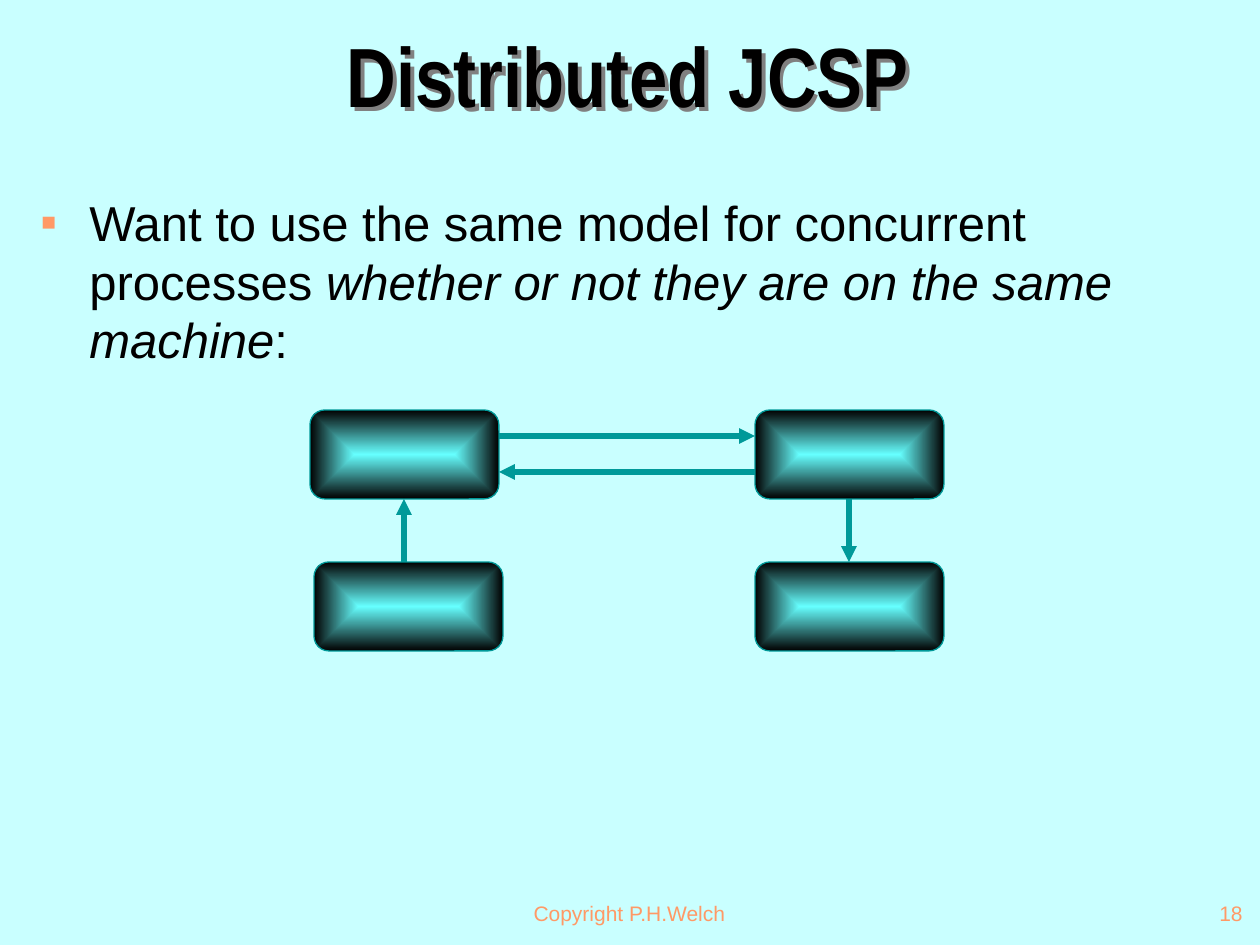
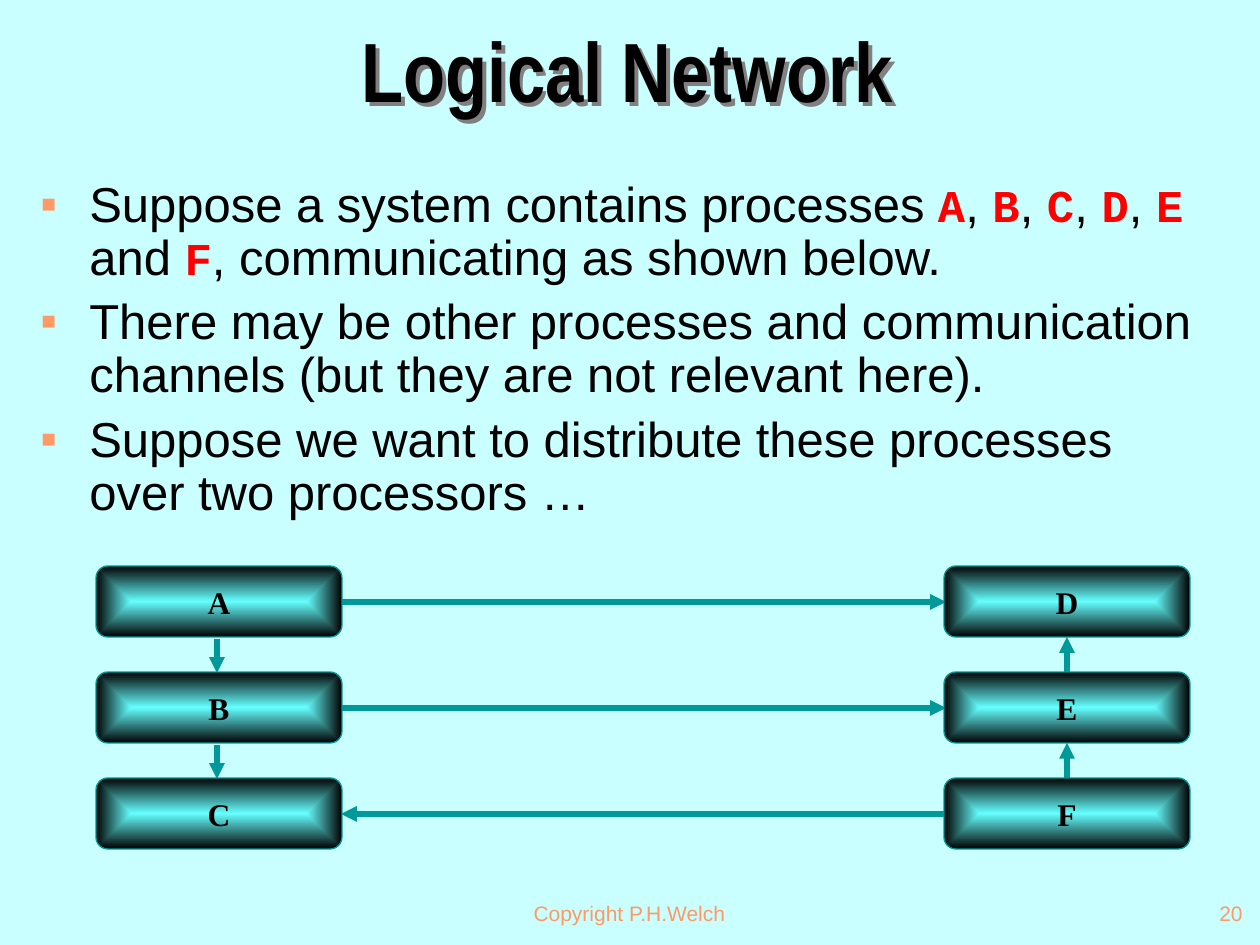
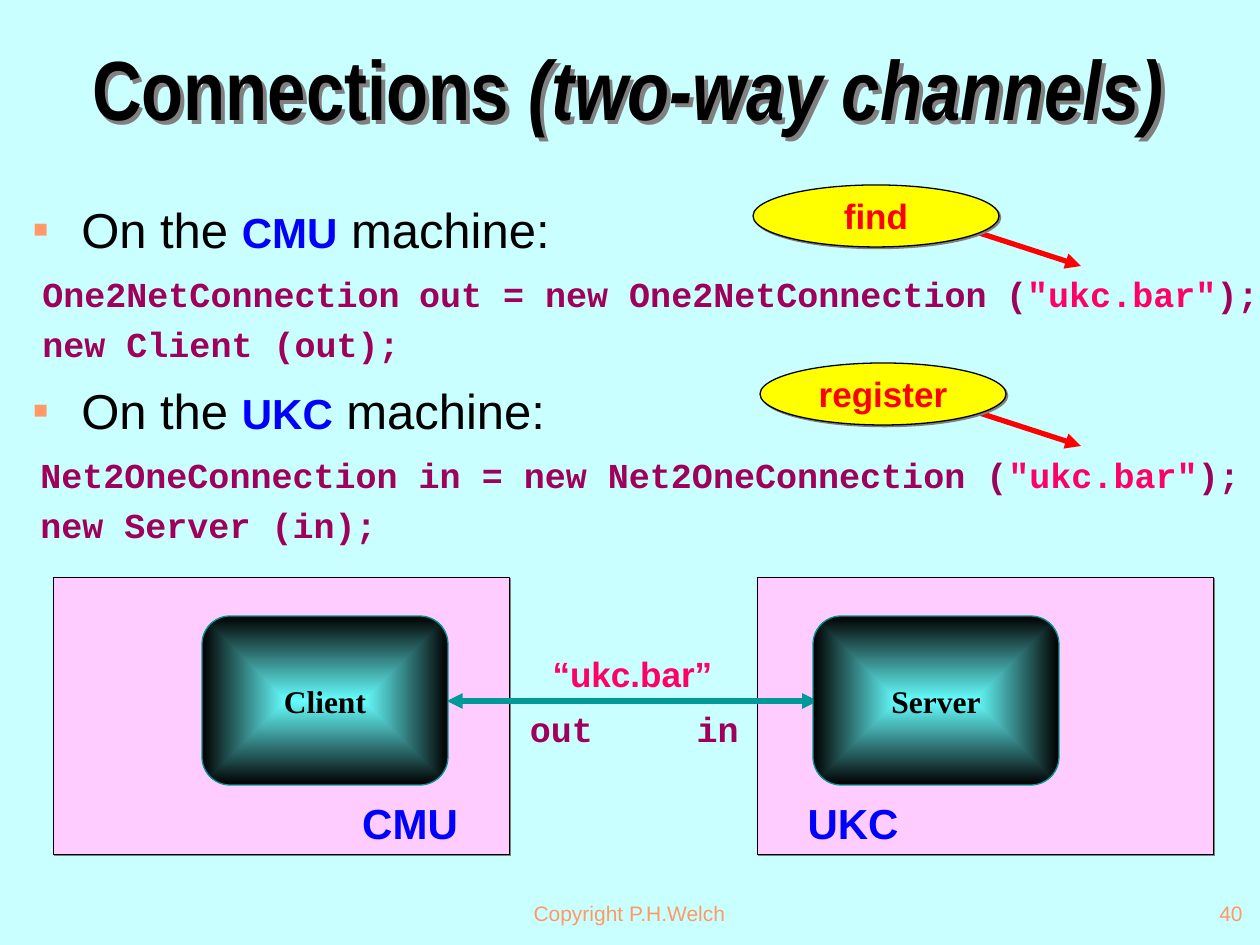
from pptx import Presentation
from pptx.dml.color import RGBColor as RGB
from pptx.enum.shapes import MSO_CONNECTOR as LINE, MSO_SHAPE as SHAPE
from pptx.enum.text import MSO_ANCHOR as ANCHOR, PP_ALIGN as ALIGN
from pptx.oxml import parse_xml
from pptx.oxml.ns import nsdecls, qn
from pptx.util import Emu, Pt

C = {
    "bg": "C9FFFF", "ink": "010000", "accent": "FF9966", "teal": "009999",
    "glow": "66FFFF", "red": "FF0000", "blue": "0000FF", "code": "9E005C",
    "name": "FF0066", "machine": "FFCCFF", "callout": "FFFF00",
    "black": "000000", "shade": "808080",
}

# size, font, colour, bold, italic
STYLES = {
    "title": (48, "Arial Narrow", "ink", True, False),
    "title_it": (48, "Arial Narrow", "ink", True, True),
    "body": (28, "Arial", "ink", False, False),
    "body_it": (28, "Arial", "ink", False, True),
    "proc": (26, "Courier New", "red", True, False),
    "node": (18, "Times New Roman", "ink", True, False),
    "host": (24, "Arial", "blue", True, False),
    "code": (20, "Courier New", "code", True, False),
    "gap": (18, "Courier New", "code", True, False),
    "string": (20, "Courier New", "name", True, False),
    "channel": (20, "Arial", "name", True, False),
    "callout": (20, "Arial", "red", True, False),
    "footer": (12, "Arial", "accent", False, False),
}


def px(n):
    return Emu(round(n * 914400 / 126))


def rgb(name):
    return RGB.from_string(C[name])


def xml(tag, attrs="", inner=""):
    return parse_xml(f"<a:{tag} {nsdecls('a')} {attrs}>{inner}</a:{tag}>")


def add_runs(p, runs):
    for text, style in runs:
        size, font, colour, bold, italic = STYLES[style]
        r = p.add_run()
        r.text = text
        r.font.size, r.font.name = Pt(size), font
        r.font.bold, r.font.italic = bold, italic
        r.font.color.rgb = rgb(colour)


def add_shadow(sp, dist):
    sp.shadow.inherit = False
    sp._element.spPr.find(qn("a:effectLst")).append(xml(
        "outerShdw", f'dist="{px(dist)}" dir="2700000" algn="ctr" rotWithShape="0"',
        f'<a:srgbClr val="{C["shade"]}"/>'))


def add_text(s, box, paras, align=ALIGN.LEFT, anchor=ANCHOR.TOP, before=0, spacing=None):
    """Add a text box; each paragraph is a list of (text, style) runs."""
    sp = s.shapes.add_textbox(*map(px, box))
    tf = sp.text_frame
    tf.word_wrap, tf.vertical_anchor = True, anchor
    for i, runs in enumerate(paras):
        p = tf.paragraphs[0] if i == 0 else tf.add_paragraph()
        p.alignment = align
        if i:
            p.space_before = Pt(before)
        if spacing:
            p.line_spacing = spacing
        add_runs(p, runs)
    return sp


def add_bullets(s, box, paras, spacing=None):
    sp = add_text(s, box, paras, before=7, spacing=spacing)
    for p in sp.text_frame.paragraphs:
        pPr = p._p.get_or_add_pPr()
        pPr.set("marL", str(px(48)))
        pPr.set("indent", str(-px(48)))
        pPr.append(xml("buClr", "", f'<a:srgbClr val="{C["accent"]}"/>'))
        pPr.append(xml("buSzPct", 'val="50000"'))
        pPr.append(xml("buFont", 'typeface="Arial"'))
        pPr.append(xml("buChar", 'char="■"'))


def add_label(s, box, text, style):
    add_text(s, box, [[(text, style)]], ALIGN.CENTER)


def add_shape(s, kind, box, line, width, text="", style="node"):
    sp = s.shapes.add_shape(kind, *map(px, box))
    sp.shadow.inherit = False
    sp.line.color.rgb, sp.line.width = rgb(line), Pt(width)
    if text:
        tf = sp.text_frame
        tf.word_wrap, tf.vertical_anchor = False, ANCHOR.MIDDLE
        tf.paragraphs[0].alignment = ALIGN.CENTER
        add_runs(tf.paragraphs[0], [(text, style)])
    return sp


def add_process(s, box, text=""):
    """Add a rounded box that glows from its centre."""
    sp = add_shape(s, SHAPE.ROUNDED_RECTANGLE, box, "teal", 0.75, text)
    sp.fill.gradient()
    for stop, colour in zip(sp.fill.gradient_stops, ("glow", "ink")):
        stop.color.rgb = rgb(colour)
    grad = sp._element.spPr.find(qn("a:gradFill"))
    grad.replace(grad.find(qn("a:lin")), xml(
        "path", 'path="rect"',
        '<a:fillToRect l="50000" t="50000" r="50000" b="50000"/>'))


def add_machine(s, box):
    sp = add_shape(s, SHAPE.RECTANGLE, box, "black", 0.25)
    sp.fill.solid()
    sp.fill.fore_color.rgb = rgb("machine")
    add_shadow(sp, 2.4)


def add_callout(s, x, y, text, arrow):
    add_arrow(s, *arrow, colour="red")
    sp = add_shape(s, SHAPE.OVAL, (x, y, 246, 62), "black", 0.75, text, "callout")
    sp.fill.solid()
    sp.fill.fore_color.rgb = rgb("callout")
    add_shadow(sp, 2.4)


def add_arrow(s, x1, y1, x2, y2, colour="teal", both=False):
    cn = s.shapes.add_connector(LINE.STRAIGHT, px(x1), px(y1), px(x2), px(y2))
    cn.line.color.rgb, cn.line.width = rgb(colour), Pt(3)
    ln = cn.line._get_or_add_ln()
    for end in ("headEnd", "tailEnd") if both else ("tailEnd",):
        ln.append(xml(end, 'type="triangle"'))
    cn._element.spPr.append(xml("effectLst"))


def new_slide(prs, number, title, top, height):
    s = prs.slides.add_slide(prs.slide_layouts[6])
    s.background.fill.solid()
    s.background.fill.fore_color.rgb = rgb("bg")
    sp = add_text(s, (30, top, 1196, height), [title], ALIGN.CENTER,
                  ANCHOR.MIDDLE, spacing=0.7)
    add_shadow(sp, 5.5)
    for x, w, text, align in ((430, 399, "Copyright P.H.Welch", ALIGN.CENTER),
                              (993, 262, number, ALIGN.RIGHT)):
        add_text(s, (x, 882, w, 63), [[(text, "footer")]], align, ANCHOR.MIDDLE)
    return s


def distributed_slide(prs):
    s = new_slide(prs, "18", [("Distributed JCSP", "title")], 26, 120)
    add_bullets(s, (29, 186, 1200, 195), [[
        ("Want to use the same model for concurrent processes ", "body"),
        ("whether or not they are on the same machine", "body_it"),
        (":", "body")]])
    for ends in ((404, 583, 404, 499), (499, 436, 755, 436),
                 (755, 472, 499, 472), (849, 499, 849, 562)):
        add_arrow(s, *ends)
    for x, y in ((310, 410), (755, 410), (755, 562), (314, 562)):
        add_process(s, (x, y, 189, 89))


def network_slide(prs):
    s = new_slide(prs, "20", [("Logical Network", "title")], 19, 125)
    runs = [("Suppose a system contains processes ", "body")]
    for name, after in zip("ABCDEF", [", "] * 4 + [" and ", ", communicating as shown below."]):
        runs += [(name, "proc"), (after, "body")]
    add_bullets(s, (29, 174, 1200, 131), [runs], 0.9)
    add_bullets(s, (29, 291, 1200, 263), [
        [("There may be other processes and communication channels "
          "(but they are not relevant here).", "body")],
        [("Suppose we want to distribute these processes "
          "over two processors …", "body")]], 0.9)

    left, right, top, w, h, pitch = 96, 944, 566, 246, 71, 106
    for i in range(2):
        y = top + h + i * pitch
        add_arrow(s, 217, y + 2, 217, y + 36)
        add_arrow(s, 1067, y + 36, 1067, y)
    for i, (a, b) in enumerate(("AD", "BE", "CF")):
        y = top + i * pitch
        ends = (341, 946) if i < 2 else (946, 341)
        add_arrow(s, ends[0], y + 36, ends[1], y + 36)
        add_process(s, (left, y, w, h), a)
        add_process(s, (right, y, w, h), b)


def connections_slide(prs):
    s = new_slide(prs, "40", [("Connections ", "title"),
                              ("(two-way channels)", "title_it")], 34, 130)
    for x in (757, 53):
        add_machine(s, (x, 577, 456, 277))
    add_label(s, (432, 646, 401, 54), "“ukc.bar”", "channel")
    add_arrow(s, 447, 701, 818, 701, both=True)
    for x, host in ((343, "CMU"), (786, "UKC")):
        add_label(s, (x, 791, 134, 63), host, "host")
    for x, name in ((202, "Client"), (813, "Server")):
        add_process(s, (x, 616, 246, 169), name)
    for x, end in ((509, "out"), (665, "in")):
        add_label(s, (x, 701, 105, 54), end, "code")

    address = [("\"ukc.bar\"", "string"), (");", "code")]
    client = [("One2NetConnection", "code"), (" ", "gap"),
              ("out = new One2NetConnection", "code"), (" ", "gap"), ("(", "code")]
    server = [("Net2OneConnection in = new Net2OneConnection (", "code")]
    for host, y, code_box, declare, start in (
            ("CMU", 193, (30, 266, 1273, 112), client, "new Client (out);"),
            ("UKC", 374, (28, 447, 1232, 112), server, "new Server (in);")):
        add_bullets(s, (21, y, 1200, 92), [[
            ("On the ", "body"), (host, "host"), (" machine:", "body")]])
        add_text(s, code_box, [declare + address, [(start, "code")]], before=5)
    add_callout(s, 753, 185, "find", (961, 227, 1081, 266))
    add_callout(s, 760, 363, "register", (961, 407, 1081, 446))


def main():
    prs = Presentation()
    prs.slide_width, prs.slide_height = px(1260), px(945)
    distributed_slide(prs)
    network_slide(prs)
    connections_slide(prs)
    prs.save("out.pptx")


if __name__ == "__main__":
    main()
